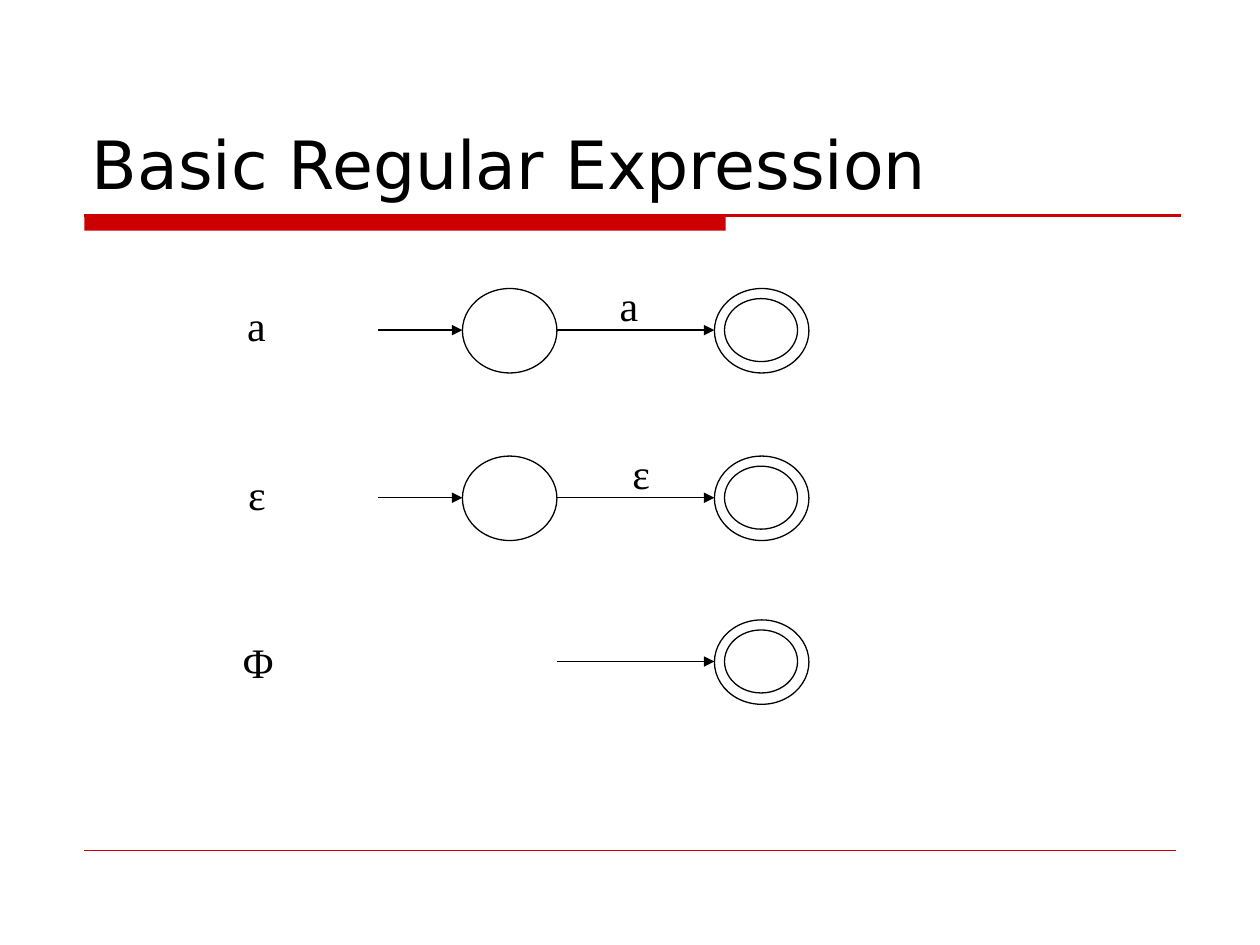
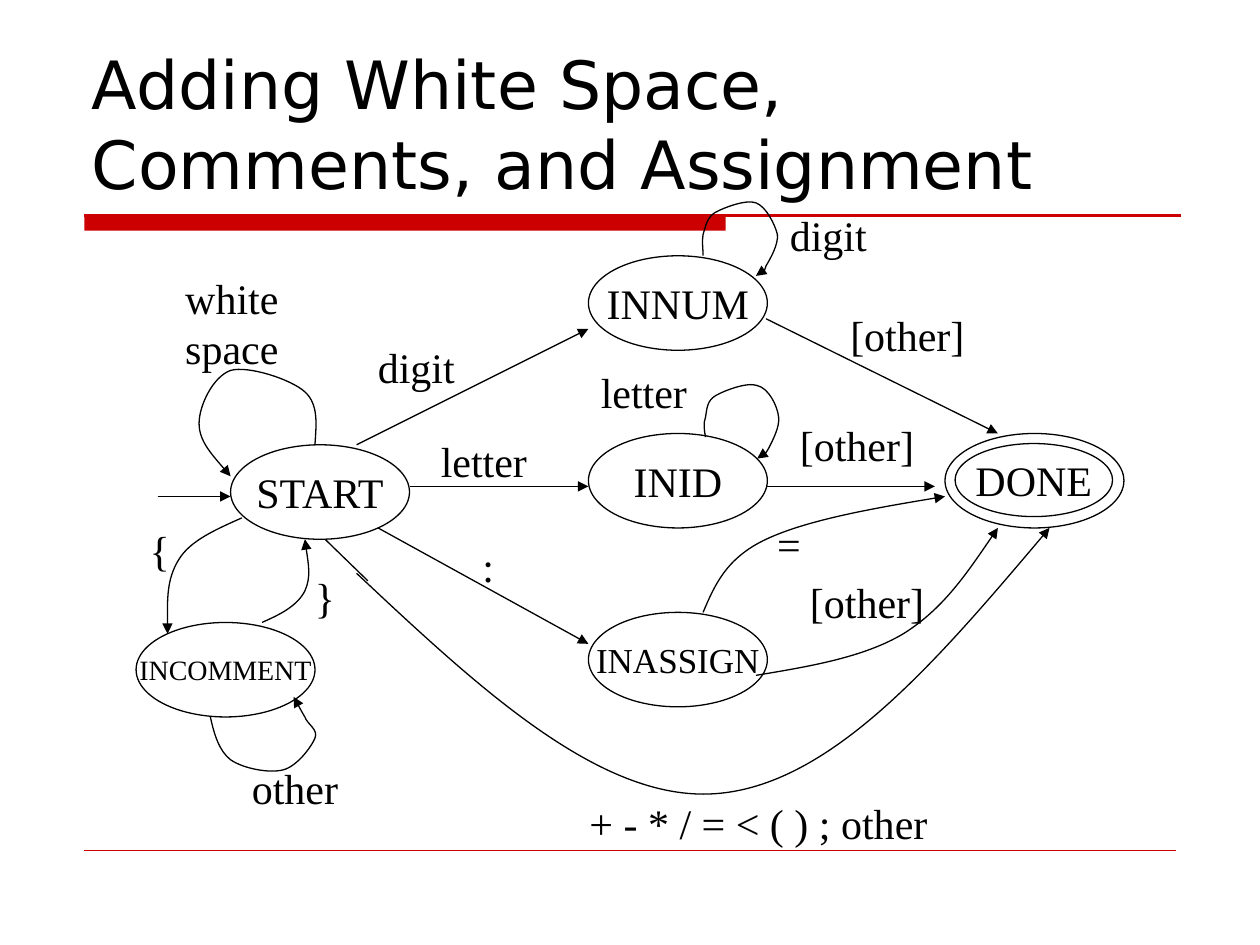
from dataclasses import dataclass
from typing import Optional

from lxml.etree import SubElement
from pptx import Presentation
from pptx.dml.color import RGBColor
from pptx.enum.shapes import MSO_CONNECTOR, MSO_SHAPE
from pptx.enum.text import MSO_ANCHOR, MSO_AUTO_SIZE, PP_ALIGN
from pptx.oxml.ns import qn
from pptx.util import Emu, Pt

PX = 9144
COLORS = {"ink": "000000", "accent": "CC0000"}
TITLE_FONT = "DejaVu Sans"
BODY_FONT = "Times New Roman"
STATE_WIDTH, STATE_HEIGHT = 142, 75
RING_INSET = 8
RING_SHRINK = 17


@dataclass(frozen=True)
class State:
    left: int
    top: int
    name: str = ""
    size: int = 24
    width: int = STATE_WIDTH
    height: int = STATE_HEIGHT
    accepting: bool = False


@dataclass(frozen=True)
class Label:
    text: str
    left: int
    top: int
    width: int
    height: int = 50
    align: PP_ALIGN = PP_ALIGN.LEFT


@dataclass(frozen=True)
class Line:
    start: tuple[int, int]
    end: tuple[int, int]
    arrow: bool = True
    color: str = "ink"
    weight: float = 0.75


@dataclass(frozen=True)
class Curve:
    start: tuple[int, int]
    points: list[tuple[int, int]]


@dataclass(frozen=True)
class Automaton:
    top: int
    symbol: Label
    edge: Optional[Label] = None


AUTOMATA = [
    Automaton(229, Label("a", 186, 233, 35, align=PP_ALIGN.CENTER), Label("a", 482, 217, 35)),
    Automaton(362, Label("ε", 187, 367, 34, align=PP_ALIGN.CENTER), Label("ε", 492, 350, 34)),
    Automaton(492, Label("Φ", 183, 500, 44, align=PP_ALIGN.CENTER)),
]

STATES = [
    State(183, 353, "START"),
    State(467, 203, "INNUM"),
    State(467, 344, "INID"),
    State(467, 486, "INASSIGN", size=20),
    State(108, 494, "INCOMMENT", size=16),
    State(750, 344, "DONE", accepting=True),
]

TRANSITIONS = [
    Line((125, 394), (183, 394)),
    Line((283, 353), (467, 261)),
    Line((325, 386), (467, 386)),
    Line((608, 253), (792, 344)),
    Line((608, 386), (742, 386)),
    Line((300, 419), (467, 511)),
    Line((292, 461), (258, 428), arrow=False),
]

CURVES = [
    Curve((558, 203), [(558, 197), (557, 192), (558, 186), (560, 181), (560, 174), (567, 169),
                       (574, 165), (592, 158), (600, 161), (608, 164), (615, 178), (617, 186),
                       (618, 194), (611, 206), (608, 211), (606, 217), (603, 218), (600, 219)]),
    Curve((560, 347), [(559, 342), (558, 336), (560, 331), (561, 325), (561, 318), (568, 314),
                       (575, 310), (593, 303), (601, 306), (610, 308), (617, 322), (618, 331),
                       (619, 339), (613, 350), (610, 356), (607, 361), (604, 363), (601, 364)]),
    Curve((283, 455), [(379, 545), (476, 636), (567, 630), (659, 624), (746, 522), (833, 419)]),
    Curve((558, 486), [(567, 465), (576, 443), (608, 428), (640, 413), (695, 403), (750, 394)]),
    Curve((600, 536), [(642, 529), (685, 522), (717, 503), (749, 483), (770, 451), (792, 419)]),
    Curve((192, 411), [(172, 420), (151, 429), (142, 444), (132, 460), (133, 481), (133, 503)]),
    Curve((208, 494), [(222, 488), (236, 481), (242, 469), (247, 458), (244, 443), (242, 428)]),
    Curve((167, 569), [(170, 583), (174, 596), (183, 603), (193, 610), (214, 614), (225, 611),
                       (236, 608), (247, 593), (250, 586), (253, 579), (244, 575), (242, 569),
                       (239, 564), (236, 558), (233, 553)]),
    Curve((250, 353), [(251, 337), (253, 321), (242, 311), (231, 301), (197, 290), (183, 294),
                       (169, 299), (158, 322), (158, 336), (158, 350), (171, 364), (183, 378)]),
]

LABELS = [
    Label("digit", 290, 266, 90),
    Label("digit", 617, 161, 90),
    Label("letter", 340, 341, 102),
    Label("letter", 467, 286, 102),
    Label("[other]", 665, 241, 120),
    Label("[other]", 625, 328, 120),
    Label("[other]", 633, 453, 120),
    Label("+ - * / = < ( ) ; other", 458, 628, 300),
    Label("{", 109, 411, 36),
    Label("}", 240, 449, 36),
    Label("other", 190, 600, 100),
    Label(":", 373, 424, 29),
    Label("=", 607, 407, 39),
    Label("white\nspace", 132, 211, 104, height=90, align=PP_ALIGN.CENTER),
]


def px(*lengths: int) -> list[Emu]:
    return [Emu(length * PX) for length in lengths]


def rgb(name: str) -> RGBColor:
    return RGBColor.from_string(COLORS[name])


def write_text(frame, text: str, *, size: int = 24, font: str = BODY_FONT,
               align: PP_ALIGN = PP_ALIGN.LEFT, anchor: MSO_ANCHOR = MSO_ANCHOR.TOP,
               wrap: bool = True) -> None:
    frame.word_wrap = wrap
    frame.vertical_anchor = anchor
    frame.auto_size = MSO_AUTO_SIZE.NONE
    for index, line in enumerate(text.split("\n")):
        para = frame.add_paragraph() if index else frame.paragraphs[0]
        para.alignment = align
        span = para.add_run()
        span.text = line
        span.font.size = Pt(size)
        span.font.name = font
        span.font.color.rgb = rgb("ink")


def style_line(shape, color: str = "ink", weight: float = 0.75, arrow: bool = False) -> None:
    shape.line.color.rgb = rgb(color)
    shape.line.width = Pt(weight)
    if arrow:
        outline = shape._element.spPr.find(qn("a:ln"))
        SubElement(outline, qn("a:tailEnd"), type="triangle")


def add_label(page, label: Label) -> None:
    box = page.shapes.add_textbox(*px(label.left, label.top, label.width, label.height))
    write_text(box.text_frame, label.text, align=label.align)


def add_line(page, line: Line) -> None:
    connector = page.shapes.add_connector(MSO_CONNECTOR.STRAIGHT, *px(*line.start, *line.end))
    style_line(connector, line.color, line.weight, line.arrow)
    SubElement(connector._element.spPr, qn("a:effectLst"))


def add_curve(page, curve: Curve) -> None:
    builder = page.shapes.build_freeform(*curve.start, scale=PX)
    builder.add_line_segments(curve.points, close=False)
    shape = builder.convert_to_shape()
    shape.fill.background()
    shape.shadow.inherit = False
    style_line(shape, arrow=True)
    outline = next(shape._element.iter(qn("a:path")))
    segments = outline.findall(qn("a:lnTo"))
    for first in range(0, len(segments), 3):
        bezier = SubElement(outline, qn("a:cubicBezTo"))
        for segment in segments[first:first + 3]:
            bezier.append(segment[0])
            outline.remove(segment)


def add_ellipse(page, left: int, top: int, width: int, height: int):
    ellipse = page.shapes.add_shape(MSO_SHAPE.OVAL, *px(left, top, width, height))
    ellipse.fill.background()
    ellipse.shadow.inherit = False
    style_line(ellipse)
    return ellipse


def add_state(page, state: State) -> None:
    ellipse = add_ellipse(page, state.left, state.top, state.width, state.height)
    if state.accepting:
        ellipse = add_ellipse(page, state.left + RING_INSET, state.top + RING_INSET,
                              state.width - RING_SHRINK, state.height - RING_SHRINK)
    if state.name:
        write_text(ellipse.text_frame, state.name, size=state.size,
                   align=PP_ALIGN.CENTER, anchor=MSO_ANCHOR.MIDDLE, wrap=False)


def add_page(deck, title: str):
    page = deck.slides.add_slide(deck.slide_layouts[6])
    band = page.shapes.add_shape(MSO_SHAPE.RECTANGLE, *px(67, 171, 509, 12))
    band.fill.solid()
    band.fill.fore_color.rgb = rgb("accent")
    band.line.fill.background()
    band.shadow.inherit = False
    add_line(page, Line((67, 171), (937, 171), arrow=False, color="accent", weight=1.25))
    add_line(page, Line((67, 675), (933, 675), arrow=False, color="accent", weight=0.25))
    box = page.shapes.add_textbox(*px(63, 33, 875, 133))
    write_text(box.text_frame, title, size=38, font=TITLE_FONT, anchor=MSO_ANCHOR.BOTTOM)
    return page


def add_automaton(page, automaton: Automaton) -> None:
    middle = automaton.top + 33
    add_state(page, State(567, automaton.top, width=75, height=67, accepting=True))
    add_line(page, Line((442, middle), (567, middle)))
    add_label(page, automaton.symbol)
    if automaton.edge:
        add_state(page, State(367, automaton.top, width=75, height=67))
        add_line(page, Line((300, middle), (367, middle)))
        add_label(page, automaton.edge)


def main() -> None:
    deck = Presentation()
    deck.slide_width, deck.slide_height = px(1000, 750)

    basics = add_page(deck, "Basic Regular Expression")
    for automaton in AUTOMATA:
        add_automaton(basics, automaton)

    scanner = add_page(deck, "Adding White Space, Comments, and Assignment")
    for state in STATES:
        add_state(scanner, state)
    for transition in TRANSITIONS:
        add_line(scanner, transition)
    for curve in CURVES:
        add_curve(scanner, curve)
    for label in LABELS:
        add_label(scanner, label)

    deck.save("out.pptx")


if __name__ == "__main__":
    main()
